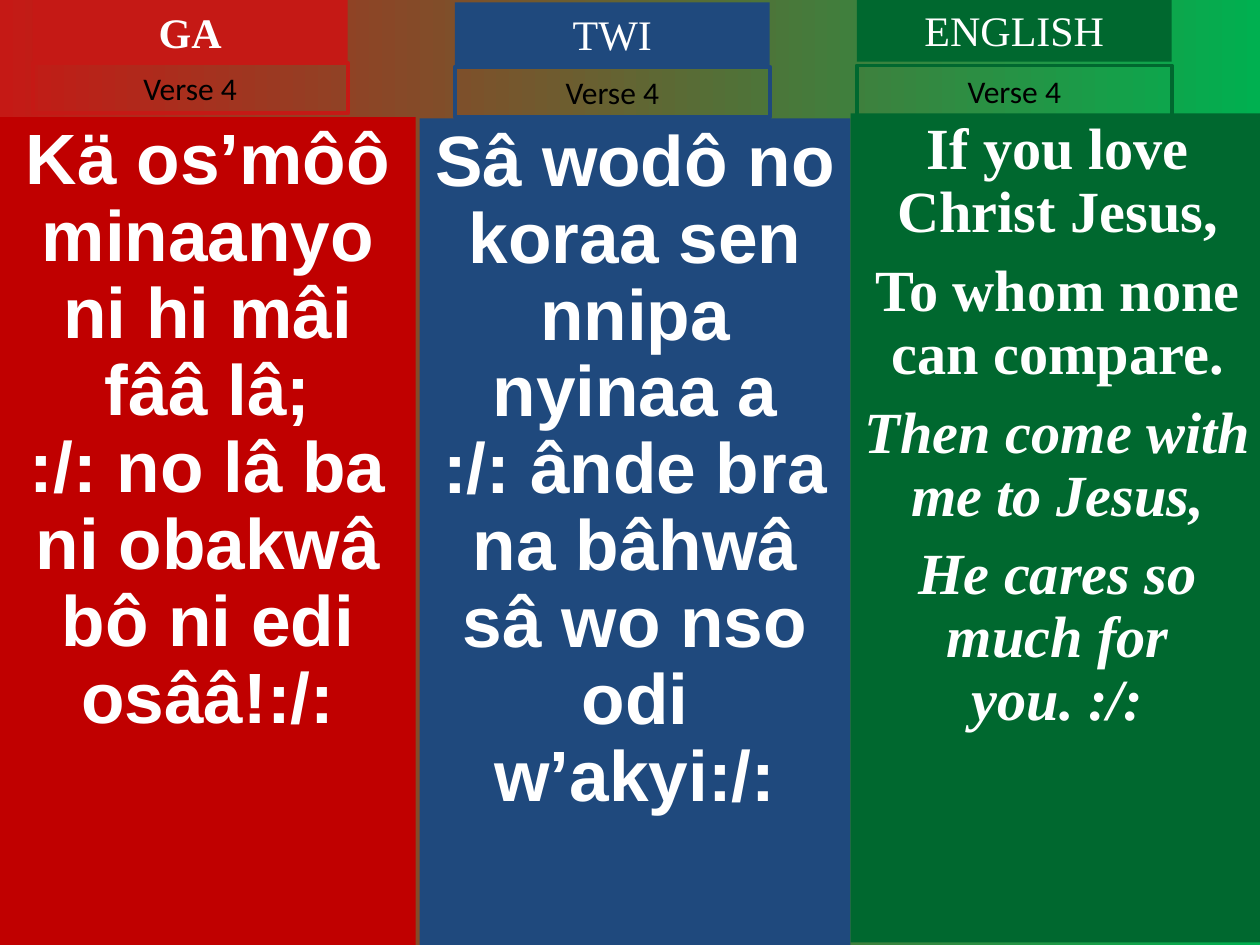
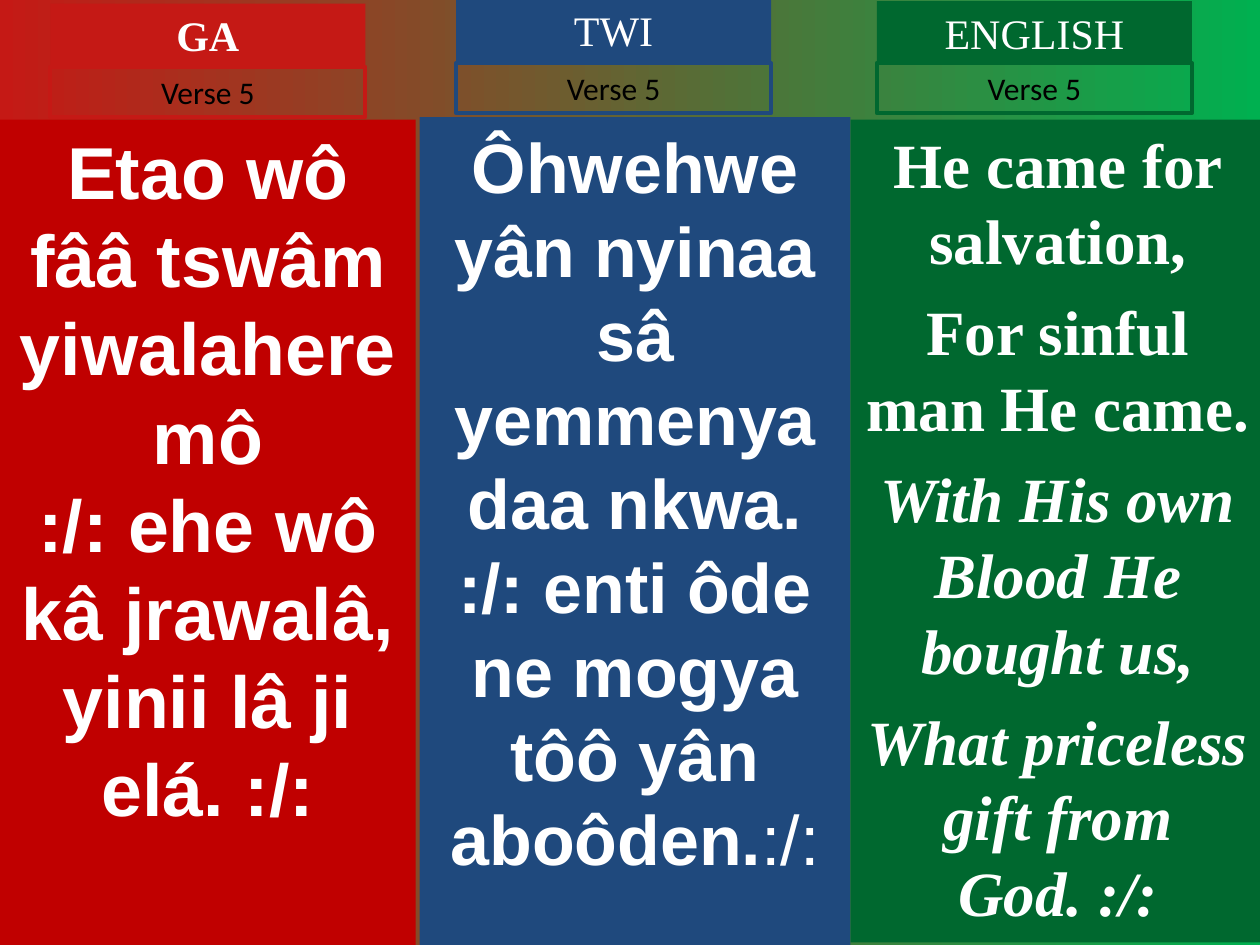
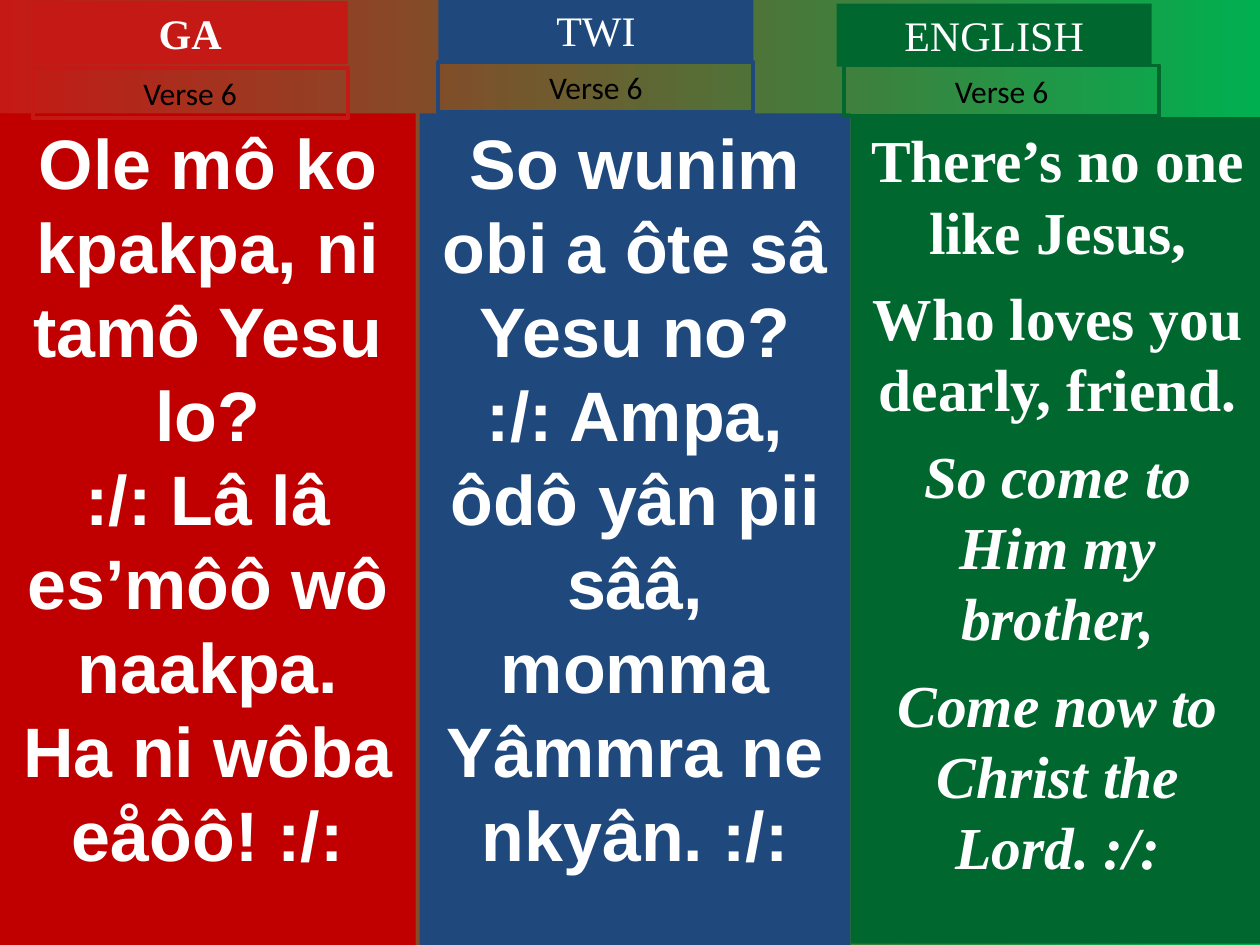
from dataclasses import dataclass

from pptx import Presentation
from pptx import util as u
from pptx.dml.color import RGBColor
from pptx.enum import shapes, text


@dataclass
class Language:
    name: str
    heading_color: str
    body_color: str
    left: float
    width: float
    font: str
    bold_heading: bool = False
    italic_from: int = 99  # index of the first italic paragraph


@dataclass
class Column:
    heading_at: tuple
    verse_at: tuple
    body_top: float
    body_bottom: float
    size: float
    lines: list  # a tuple holds bold text and a plain ending
    space_before: float = 0
    line_spacing: float = 1.0


LANGUAGES = [
    Language("GA", "C51915", "C00000", 0, 3.3, "Arial", bold_heading=True),
    Language("TWI", "1F497D", "1F497D", 3.33, 3.42, "Arial"),
    Language("ENGLISH", "00682F", "00682F", 6.75, 3.29, "Times New Roman", italic_from=2),
]

# One column per language, in the order of LANGUAGES
VERSES = {
    "Verse 4": [
        Column((0.26, 0), (0.26, 0.5), 0.93, 7.5, 40.7, [
            "Kä os’môô minaanyo ni hi mâi fââ lâ;",
            ":/: no lâ ba ni obakwâ bô ni edi osââ!:/:",
        ], line_spacing=0.9),
        Column((3.61, 0.02), (3.61, 0.53), 0.94, 7.5, 40.7, [
            "Sâ wodô no koraa sen nnipa nyinaa a",
            ":/: ânde bra na bâhwâ sâ wo nso odi w’akyi:/:",
        ], line_spacing=0.9),
        Column((6.8, -0.01), (6.8, 0.52), 0.9, 7.48, 33.3, [
            "If you love Christ Jesus,",
            "To whom none can compare.",
            "Then come with me to Jesus,",
            "He cares so much for you. :/:",
        ], space_before=9, line_spacing=0.9),
    ],
    "Verse 5": [
        Column((0.4, 0.03), (0.4, 0.53), 0.95, 7.5, 42, [
            "Etao wô fââ tswâm yiwalaheremô",
            ":/: ehe wô kâ jrawalâ, yinii lâ ji elá. :/:",
        ]),
        Column((3.62, -0.01), (3.62, 0.5), 0.93, 7.5, 40, [
            "Ôhwehwe yân nyinaa sâ yemmenya daa nkwa.",
            (":/: enti ôde ne mogya tôô yân aboôden.", ":/:"),
        ]),
        Column((6.96, 0.01), (6.96, 0.5), 0.95, 7.48, 36, [
            "He came for salvation,",
            "For sinful man He came.",
            "With His own Blood He bought us,",
            "What priceless gift from God. :/:",
        ], space_before=9),
    ],
    "Verse 6": [
        Column((0.26, 0.01), (0.26, 0.54), 0.9, 7.5, 40, [
            "Ole mô ko kpakpa, ni tamô Yesu lo?",
            ":/: Lâ lâ es’môô wô naakpa.",
            "Ha ni wôba eåôô! :/:",
        ]),
        Column((3.48, -0.01), (3.48, 0.49), 0.9, 7.5, 40, [
            "So wunim obi a ôte sâ Yesu no?",
            ":/: Ampa, ôdô yân pii sââ, momma Yâmmra ne nkyân. :/:",
        ]),
        Column((6.64, 0.03), (6.7, 0.52), 0.93, 7.49, 34, [
            "There’s no one like Jesus,",
            "Who loves you dearly, friend.",
            "So come to Him my brother,",
            "Come now to Christ the Lord. :/:",
        ], space_before=8.5),
    ],
}


def rgb(color):
    return RGBColor.from_string(color)


def paint_background(master):
    fill = master.background.fill
    fill.gradient()
    fill.gradient_angle = 0
    for stop, color in zip(fill.gradient_stops, ("C51915", "00B050")):
        stop.color.rgb = rgb(color)


def add_panel(slide, left, top, width, height, fill=None, line=None):
    shape = slide.shapes.add_shape(
        shapes.MSO_SHAPE.RECTANGLE, *map(u.Inches, (left, top, width, height)))
    shape.shadow.inherit = False
    if fill:
        shape.fill.solid()
        shape.fill.fore_color.rgb = rgb(fill)
    else:
        shape.fill.background()
    if line:
        shape.line.color.rgb = rgb(line)
        shape.line.width = u.Pt(2.25)
    else:
        shape.line.fill.background()
    shape.text_frame.word_wrap = True
    shape.text_frame.vertical_anchor = text.MSO_ANCHOR.TOP
    return shape.text_frame


def style(paragraph, font, size, color, bold=False, italic=False):
    paragraph.alignment = text.PP_ALIGN.CENTER
    paragraph.font.name = font
    paragraph.font.size = u.Pt(size)
    paragraph.font.color.rgb = rgb(color)
    paragraph.font.bold = bold
    paragraph.font.italic = italic


def add_label(slide, at, height, words, font, size, color, bold=False, **panel):
    frame = add_panel(slide, *at, 2.5, height, **panel)
    frame.auto_size = text.MSO_AUTO_SIZE.SHAPE_TO_FIT_TEXT
    paragraph = frame.paragraphs[0]
    paragraph.text = words
    style(paragraph, font, size, color, bold)


def add_lyrics(slide, language, column):
    frame = add_panel(slide, language.left, column.body_top, language.width,
                      column.body_bottom - column.body_top, fill=language.body_color)
    for index, line in enumerate(column.lines):
        paragraph = frame.add_paragraph() if index else frame.paragraphs[0]
        words, plain_ending = line if isinstance(line, tuple) else (line, "")
        paragraph.add_run().text = words
        if plain_ending:
            ending = paragraph.add_run()
            ending.text = plain_ending
            ending.font.bold = False
        paragraph.line_spacing = column.line_spacing
        paragraph.space_before = u.Pt(column.space_before if index else 0)
        style(paragraph, language.font, column.size, "FFFFFF",
              bold=True, italic=index >= language.italic_from)


def add_verse(presentation, verse, columns):
    slide = presentation.slides.add_slide(presentation.slide_layouts[6])
    for language, column in zip(LANGUAGES, columns):
        add_lyrics(slide, language, column)
        add_label(slide, column.heading_at, 0.5, language.name, "Times New Roman", 24,
                  "FFFFFF", language.bold_heading, fill=language.heading_color)
        add_label(slide, column.verse_at, 0.4, verse, "Calibri", 18,
                  "000000", line=language.heading_color)


def main():
    presentation = Presentation()
    presentation.slide_width = u.Inches(10)
    presentation.slide_height = u.Inches(7.5)
    paint_background(presentation.slide_master)
    for verse, columns in VERSES.items():
        add_verse(presentation, verse, columns)
    presentation.save("out.pptx")


if __name__ == "__main__":
    main()
